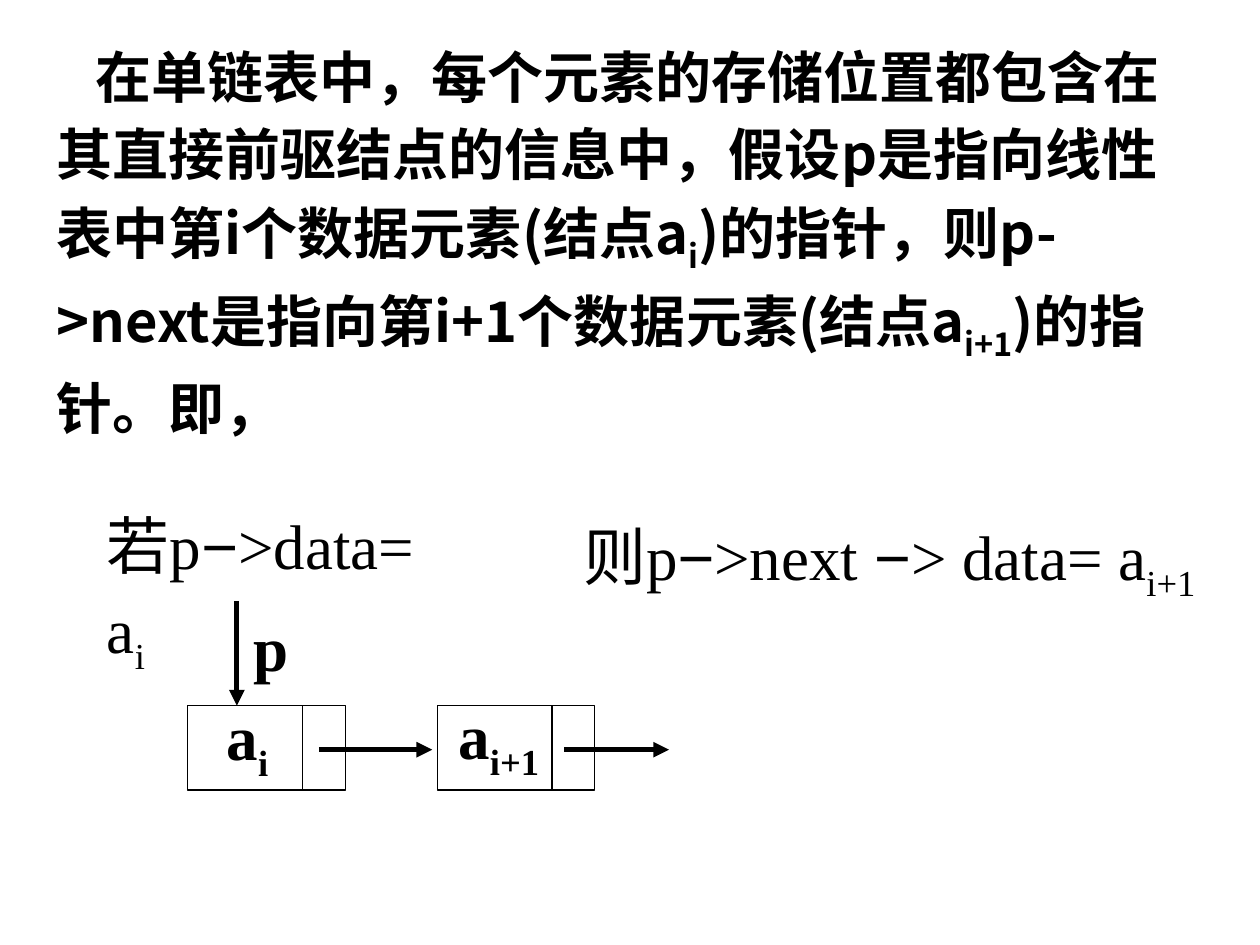
from lxml import etree
from pptx import Presentation
from pptx.dml.color import RGBColor
from pptx.enum.shapes import MSO_CONNECTOR, MSO_SHAPE
from pptx.enum.text import MSO_AUTO_SIZE
from pptx.oxml.ns import qn
from pptx.util import Inches, Pt

STRAIGHT = MSO_CONNECTOR.STRAIGHT
RECT = MSO_SHAPE.RECTANGLE
GROW = MSO_AUTO_SIZE.SHAPE_TO_FIT_TEXT
CJK = "Noto Sans CJK SC"
SERIF = "Times New Roman"
BLACK = RGBColor.from_string("000000")
WHITE = RGBColor.from_string("FFFFFF")

prs = Presentation()
prs.slide_width, prs.slide_height = Inches(10), Inches(7.5)
s = prs.slides.add_slide(prs.slide_layouts[6])


def add_text(box, parts, size=36, font=SERIF, bold=True, spacing=None, wrap=False):
    """Add a text box; parts starting with "_" are subscripts, "−" is set in Arial."""
    tf = s.shapes.add_textbox(*map(Inches, box)).text_frame
    tf.word_wrap = wrap
    tf.auto_size = GROW
    p = tf.paragraphs[0]
    p.line_spacing = spacing
    p.font.size, p.font.bold, p.font.name = Pt(size), bold, font
    p.font.color.rgb = BLACK
    etree.SubElement(p.font._element, qn("a:ea"), typeface=CJK)
    for part in parts:
        r = p.add_run()
        r.text = part.removeprefix("_")
        if part.startswith("_"):
            r.font._element.set("baseline", "-25000")
        elif part == "−":
            r.font.name = "Arial"
    return p


def add_line(x1, y1, x2, y2, width=0.75, arrow=False):
    c = s.shapes.add_connector(STRAIGHT, *map(Inches, (x1, y1, x2, y2)))
    c.line.color.rgb = BLACK
    c.line.width = Pt(width)
    if arrow:
        etree.SubElement(c.line._ln, qn("a:tailEnd"), type="triangle")
    etree.SubElement(c._element.spPr, qn("a:effectLst"))


# Explanation
p = add_text(
    (0.35, 0.21, 9.1, 3.16),
    ["在单链表中，每个元素的存储位置都包含在其直接前驱结点的信息中，"
     "假设p是指向线性表中第i个数据元素(结点a", "_i",
     ")的指针，则p->next是指向第i+1个数据元素(结点a", "_i+1", ")的指针。即，"],
    size=32, font=CJK, spacing=1.15, wrap=True)
p._p.get_or_add_pPr().set("indent", str(Inches(0.31)))

# List nodes: data cell, pointer cell and arrow to the next node
NODE_TOP, NODE_W, NODE_H, DATA_W = 5.6, 1.25, 0.67, 0.91
ARROW_Y = 5.95
nodes = [
    (1.49, (1.7, 5.49, 0.54, 0.7), "_i", 2.53, 3.43),
    (3.47, (3.54, 5.48, 0.9, 0.7), "_i+1", 4.48, 5.31),
]
for left, label_box, index, arrow_from, arrow_to in nodes:
    node = s.shapes.add_shape(RECT, *map(Inches, (left, NODE_TOP, NODE_W, NODE_H)))
    node.shadow.inherit = False
    node.fill.solid()
    node.fill.fore_color.rgb = WHITE
    node.line.color.rgb = BLACK
    node.line.width = Pt(0.75)
    split = left + DATA_W
    add_line(split, NODE_TOP, split, NODE_TOP + NODE_H)
    add_text(label_box, ["a", index])
    add_line(arrow_from, ARROW_Y, arrow_to, ARROW_Y, 3, arrow=True)

# Pointer p
add_line(1.88, 4.77, 1.88, NODE_TOP, 3, arrow=True)
add_text((1.91, 4.78, 0.48, 0.7), ["p"])

# Statements
statements = [
    ((0.75, 3.91, 3.06, 0.76), ["若p", "−", ">data= a", "_i"]),
    ((4.53, 3.99, 5.08, 0.76), ["则p", "−", ">next ", "−", "> data= a", "_i+1"]),
]
for box, parts in statements:
    add_text(box, parts, bold=False, spacing=1.1, wrap=True)

prs.save("out.pptx")
